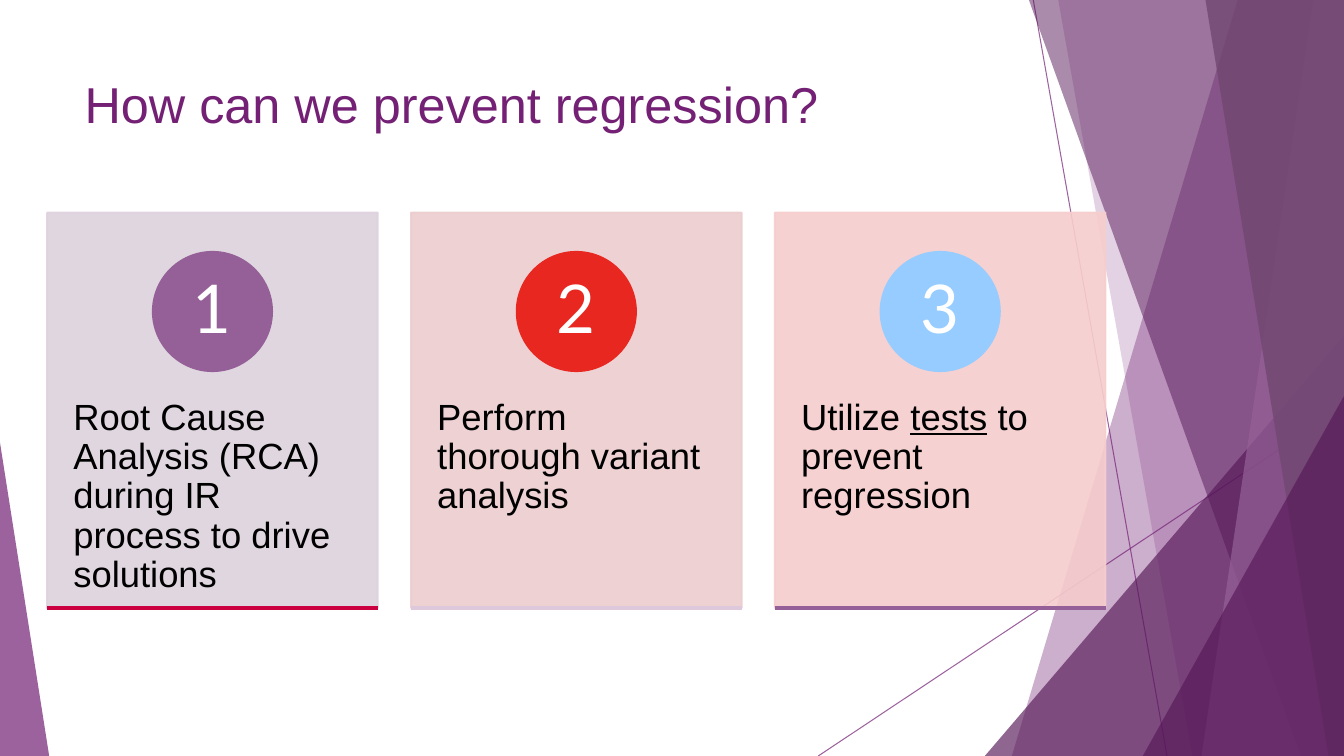
from lxml import etree
from pptx import Presentation
from pptx.dml.color import RGBColor
from pptx.enum import shapes, text
from pptx.oxml.ns import qn
from pptx.util import Cm, Pt

TITLE = "How can we prevent regression?"
# text runs (words, underlined), panel, badge and base line colours
CARDS = [
    ([("Root Cause Analysis (RCA) during IR process to drive solutions", False)],
     "DDD2DD", "956097", "CA0041"),
    ([("Perform thorough variant analysis", False)],
     "ECCCCF", "E82820", "DDC8DC"),
    ([("Utilize ", False), ("tests", True), (" to prevent regression", False)],
     "F6CDCD", "96CCFF", "956097"),
]
THEME = {
    "purple": "732075", "deep": "561858", "mauve": "956097", "plum": "704871",
    "black": "000000", "white": "FFFFFF",
    "font": "Arial", "number_font": "Lato",
    "title_size": 36, "body_size": 26, "number_size": 48,
    "hairline": 0.75, "outline": 1.5,
}
SLIDE_WIDTH, SLIDE_HEIGHT = 33.87, 19.05
RAYS = [((26.04, 0), (29.41, SLIDE_HEIGHT)),
        ((33.87, 10.24), (20.62, SLIDE_HEIGHT))]
# From back to front. Band: top and bottom x of its slanted left edge.
# Corner: left, top, width and where the apex sits (0 left, 1 right).
FACETS = [
    ("band", (31.19, 25.5), "purple", 36),
    ("band", (26.67, 30.05), "purple", 20),
    ("corner", (24.82, 8.46, 9.05, 1), "deep", 66),
    ("band", (25.93, 32.79), "deep", 50),
    ("band", (33.1, 30.28), "mauve", 70),
    ("band", (30.38, 33.48), "plum", 80),
    ("corner", (28.8, 9.98, 5.07, 1), "deep", 66),
    ("corner", (0, 11.15, 1.24, 0), "purple", 70),
]
CARD_LEFT, CARD_TOP, CARD_WIDTH, CARD_HEIGHT, CARD_STEP = 1.19, 5.36, 8.33, 9.96, 9.17
BADGE_TOP, BADGE_SIZE = 6.35, 3.0
BODY_TOP, BODY_HEIGHT = 9.14, 5.97


def paint(color_format, color, alpha=100):
    """Set a colour, with its opacity in percent."""
    color_format.rgb = RGBColor.from_string(color)
    if alpha < 100:
        node = color_format._xFill.find(qn("a:srgbClr"))
        etree.SubElement(node, qn("a:alpha"), val=str(alpha * 1000))


def fill_shape(shape, color, alpha=100, outlined=False):
    shape.shadow.inherit = False
    shape.fill.solid()
    paint(shape.fill.fore_color, color, alpha)
    if outlined:
        shape.line.width = Pt(THEME["outline"])
        shape.line.fill.solid()
        paint(shape.line.fill.fore_color, color, alpha)
    else:
        shape.line.fill.background()


def add_line(slide, start, end, color, width, alpha=100):
    line = slide.shapes.add_connector(
        shapes.MSO_CONNECTOR.STRAIGHT, *map(Cm, start + end))
    line.line.width = Pt(width)
    line.line.fill.solid()
    paint(line.line.fill.fore_color, color, alpha)
    etree.SubElement(line._element.spPr, qn("a:effectLst"))


def write(shape, runs, frame_format, font_format, color, alignment, spacing=None):
    frame = shape.text_frame
    for name, value in frame_format.items():
        setattr(frame, name, value)
    paragraph = frame.paragraphs[0]
    paragraph.alignment = alignment
    paragraph.line_spacing = spacing
    for words, underlined in runs:
        run = paragraph.add_run()
        run.text = words
        for name, value in font_format.items():
            setattr(run.font, name, value)
        run.font.color.rgb = RGBColor.from_string(color)
        if underlined:
            run.font.underline = True


def margins(side, end):
    return {"margin_left": Cm(side), "margin_right": Cm(side),
            "margin_top": Cm(end), "margin_bottom": Cm(end),
            "word_wrap": True, "auto_size": text.MSO_AUTO_SIZE.NONE}


def add_backdrop(slide):
    for start, end in RAYS:
        add_line(slide, start, end, THEME["purple"], THEME["hairline"], 70)
    for kind, geometry, color, alpha in FACETS:
        if kind == "band":
            top_x, bottom_x = geometry
            builder = slide.shapes.build_freeform(Cm(top_x), 0)
            corners = [(SLIDE_WIDTH, 0), (SLIDE_WIDTH, SLIDE_HEIGHT),
                       (bottom_x, SLIDE_HEIGHT)]
            builder.add_line_segments([(Cm(x), Cm(y)) for x, y in corners])
            facet = builder.convert_to_shape()
        else:
            left, top, width, apex = geometry
            facet = slide.shapes.add_shape(
                shapes.MSO_SHAPE.ISOSCELES_TRIANGLE,
                Cm(left), Cm(top), Cm(width), Cm(SLIDE_HEIGHT - top))
            facet.adjustments[0] = apex
        fill_shape(facet, THEME[color], alpha)


def add_title(slide):
    title = slide.shapes.title
    title.left, title.top, title.width, title.height = map(Cm, (1.88, 1.7, 23.88, 3.66))
    write(title, [(TITLE, False)],
          {**margins(0.25, 0.13), "vertical_anchor": text.MSO_ANCHOR.TOP},
          {"name": THEME["font"], "size": Pt(THEME["title_size"])},
          THEME["purple"], text.PP_ALIGN.LEFT)


def add_card(slide, index, runs, panel_color, badge_color, base_color):
    left = CARD_LEFT + index * CARD_STEP
    bottom = CARD_TOP + CARD_HEIGHT
    panel = slide.shapes.add_shape(
        shapes.MSO_SHAPE.RECTANGLE,
        *map(Cm, (left, CARD_TOP, CARD_WIDTH, CARD_HEIGHT)))
    fill_shape(panel, panel_color, 90, outlined=True)

    body = slide.shapes.add_textbox(*map(Cm, (left, BODY_TOP, CARD_WIDTH, BODY_HEIGHT)))
    write(body, runs, margins(0.66, 0.91),
          {"name": THEME["font"], "size": Pt(THEME["body_size"])},
          THEME["black"], text.PP_ALIGN.LEFT, 0.9)

    badge_left = left + (CARD_WIDTH - BADGE_SIZE) / 2
    badge = slide.shapes.add_shape(
        shapes.MSO_SHAPE.OVAL,
        *map(Cm, (badge_left, BADGE_TOP, BADGE_SIZE, BADGE_SIZE)))
    fill_shape(badge, badge_color, outlined=True)
    write(badge, [(str(index + 1), False)],
          {**margins(0.23, 0.03), "vertical_anchor": text.MSO_ANCHOR.MIDDLE},
          {"name": THEME["number_font"], "size": Pt(THEME["number_size"])},
          THEME["white"], text.PP_ALIGN.CENTER, 0.9)

    add_line(slide, (left, bottom), (left + CARD_WIDTH, bottom),
             base_color, THEME["outline"] * 1.5)


def main():
    presentation = Presentation()
    presentation.slide_width = Cm(SLIDE_WIDTH)
    presentation.slide_height = Cm(SLIDE_HEIGHT)
    slide = presentation.slides.add_slide(presentation.slide_layouts[5])
    add_backdrop(slide)
    add_title(slide)
    for index, card in enumerate(CARDS):
        add_card(slide, index, *card)
    presentation.save("out.pptx")


if __name__ == "__main__":
    main()
